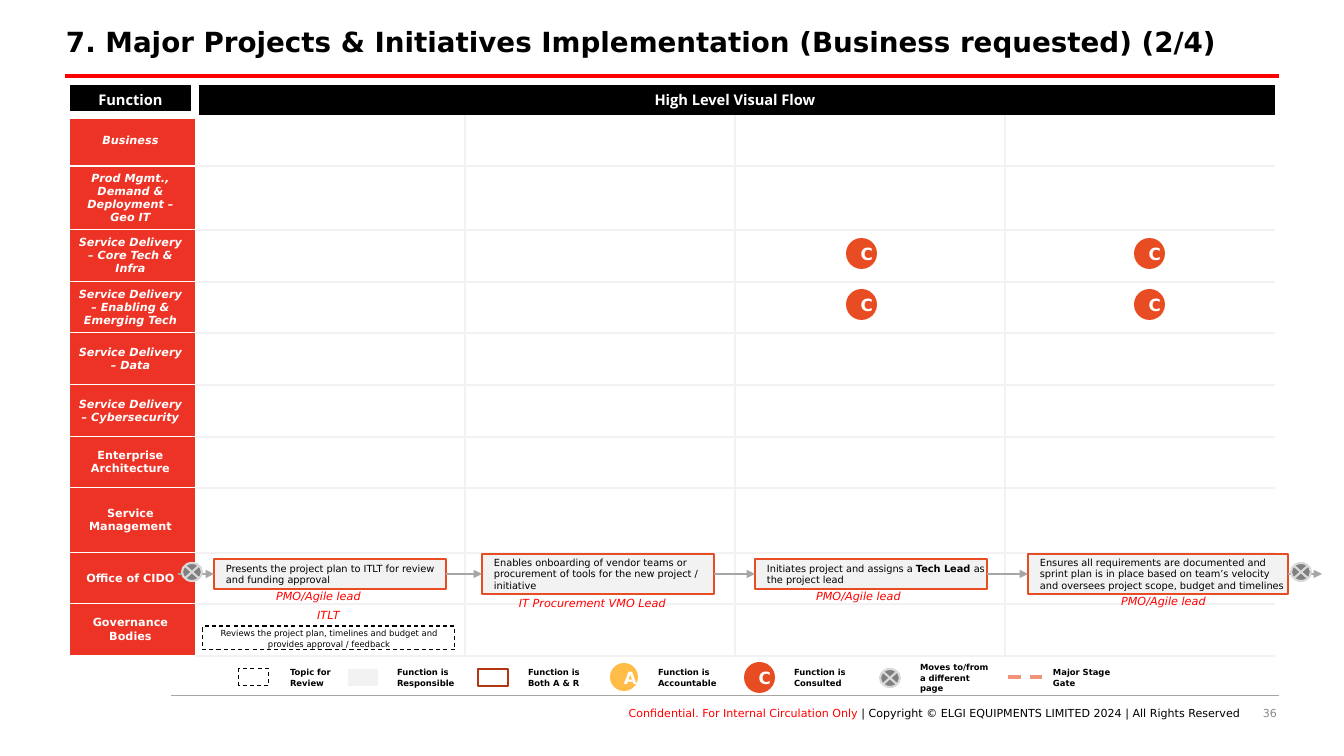
"""Build the swimlane slide for business requested projects."""
from lxml.etree import SubElement
from pptx import Presentation
from pptx.dml.color import RGBColor
from pptx.enum.dml import MSO_LINE
from pptx.enum.shapes import MSO_CONNECTOR, MSO_SHAPE
from pptx.enum.text import MSO_ANCHOR, PP_ALIGN
from pptx.oxml.ns import qn
from pptx.util import Emu, Pt

HUES = {
    "black": "000000", "white": "FFFFFF", "red": "FF0000", "lane": "ED3326",
    "pale": "F2F2F2", "orange": "E84C22", "rust": "B53513", "amber": "FFBD47",
    "gate": "F1947A", "mid": "808080", "ring": "D9D9D9", "wire": "A6A6A6",
    "page": "8C8C8C",
}
TITLE = "7. Major Projects & Initiatives Implementation (Business requested) (2/4)"
HEADS = ["Function", "High Level Visual Flow"]
LANES = [
    ("Business", 51, True),
    ("Prod Mgmt., Demand & Deployment – Geo IT", 63, True),
    ("Service Delivery – Core Tech & Infra", 52, True),
    ("Service Delivery – Enabling & Emerging Tech", 51, True),
    ("Service Delivery – Data", 52, True),
    ("Service Delivery – Cybersecurity", 52, True),
    ("Enterprise Architecture", 51, False),
    ("Service Management", 65, False),
    ("Office of CIDO", 51, False),
    ("Governance Bodies", 52, False),
]
STEPS = [
    ((214, 559, 232, 30),
     [("Presents the project plan to ITLT for review and funding approval", False)]),
    ((482, 554, 232, 40),
     [("Enables onboarding of vendor teams or procurement of tools for the "
       "new project / initiative", False)]),
    ((755, 559, 232, 30),
     [("Initiates project and assigns a ", False), ("Tech Lead ", True),
      ("as the project lead", False)]),
    ((1028, 554, 260, 40),
     [("Ensures all requirements are documented and sprint plan is in place based on "
       "team’s velocity and oversees project scope, budget and timelines", False)]),
]
ROLES = [
    ("PMO/Agile lead", (265, 584, 107, 24)),
    ("IT Procurement VMO Lead", (506, 591, 173, 24)),
    ("PMO/Agile lead", (805, 584, 107, 24)),
    ("PMO/Agile lead", (1110, 589, 107, 24)),
    ("ITLT", (306, 603, 45, 24)),
]
REVIEW = "Reviews the project plan, timelines and budget and provides approval / feedback"
LEGEND = [
    (280, ["Topic for", "Review"]),
    (387, ["Function is Responsible"]),
    (518, ["Function is Both A & R"]),
    (648, ["Function is Accountable"]),
    (784, ["Function is Consulted"]),
    (910, ["Moves to/from a different page"]),
    (1043, ["Major Stage Gate"]),
]
FOOTER = [
    ("Conﬁdential. For Internal Circulation Only ", "red"),
    ("| Copyright © ELGI EQUIPMENTS LIMITED 2024 | All Rights Reserved", "black"),
]
CENTER, LEFT, RIGHT = PP_ALIGN.CENTER, PP_ALIGN.LEFT, PP_ALIGN.RIGHT


def px(num):
    return Emu(round(num * 914400 / 100.8))


def hue(name):
    return RGBColor.from_string(HUES[name])


def write(frame, paras, size, align=LEFT, pad=(0, 0, 0, 0), mid=True, wrap=True,
          gap=None, face="DejaVu Sans", slant=False):
    frame.word_wrap = wrap
    frame.vertical_anchor = MSO_ANCHOR.MIDDLE if mid else MSO_ANCHOR.TOP
    (frame.margin_left, frame.margin_top,
     frame.margin_right, frame.margin_bottom) = map(px, pad)
    for num, runs in enumerate(paras):
        para = frame.add_paragraph() if num else frame.paragraphs[0]
        para.alignment = align
        if gap:
            para.line_spacing = gap
        for text, color, bold in runs:
            run = para.add_run()
            run.text = text
            font = run.font
            font.name, font.size, font.bold, font.italic = face, Pt(size), bold, slant
            font.color.rgb = hue(color)


def label(box, paras, size, **style):
    write(slide.shapes.add_textbox(*map(px, box)).text_frame, paras, size, **style)


def shape(kind, box, fill=None, edge=None, width=1.5, dash=False):
    item = slide.shapes.add_shape(kind, *map(px, box))
    item.shadow.inherit = False
    if fill:
        item.fill.solid()
        item.fill.fore_color.rgb = hue(fill)
    else:
        item.fill.background()
    if edge:
        item.line.color.rgb = hue(edge)
        item.line.width = Pt(width)
        if dash:
            item.line.dash_style = MSO_LINE.DASH
    else:
        item.line.fill.background()
    return item


def line(ends, color, width, arrow=False):
    wire = slide.shapes.add_connector(MSO_CONNECTOR.STRAIGHT, *map(px, ends))
    wire.line.color.rgb = hue(color)
    wire.line.width = Pt(width)
    if arrow:
        SubElement(wire.line._get_or_add_ln(), qn("a:tailEnd"), type="triangle")
    SubElement(wire._element.spPr, qn("a:effectLst"))
    return wire


def badge(letter, box, fill):
    item = shape(MSO_SHAPE.OVAL, box, fill)
    write(item.text_frame, [[(letter, "white", True)]], 12, CENTER, (10,) * 4, gap=1.06)


def jump(left, top):
    shape(MSO_SHAPE.FLOWCHART_SUMMING_JUNCTION, (left, top, 20, 18), "mid", "ring")


def edges(cell, **sides):
    props = cell._tc.get_or_add_tcPr()
    for side in "LRTB":
        if side in sides:
            color, width = sides[side]
            ln = SubElement(props, qn("a:ln" + side), w=str(Pt(width)))
            SubElement(SubElement(ln, qn("a:solidFill")), qn("a:srgbClr"), val=HUES[color])


def fill_cell(cell, text, fill, size, **style):
    cell.fill.solid()
    cell.fill.fore_color.rgb = hue(fill)
    write(cell.text_frame, [[(text, "white", True)]], size, CENTER, (10, 5, 10, 5), **style)
    cell.vertical_anchor = MSO_ANCHOR.MIDDLE


def lanes():
    rows = [31] + [high for _, high, _ in LANES]
    cols = [129] + [270] * 4
    frame = slide.shapes.add_table(len(rows), len(cols), px(66), px(84),
                                   px(sum(cols)), px(sum(rows)))
    grid = frame.table
    grid.first_row = grid.horz_banding = False
    frame._element.find(".//" + qn("a:tableStyleId")).text = (
        "{2D5ABB26-0587-4C30-8999-92F81FD0307C}")
    for row, high in zip(grid.rows, rows):
        row.height = px(high)
    for col, wide in zip(grid.columns, cols):
        col.width = px(wide)
    thick, thin, rule = ("white", 6), ("white", 1), ("pale", 1.5)
    grid.cell(0, 1).merge(grid.cell(0, 4))
    edges(grid.cell(0, 0), L=thick, R=thick, T=thin, B=thick)
    edges(grid.cell(0, 1), L=thick, T=thin)
    for num, text in enumerate(HEADS):
        fill_cell(grid.cell(0, num), text, "black", 10.5, face="Open Sans")
    for row, (name, _, slant) in enumerate(LANES, 1):
        head = grid.cell(row, 0)
        edges(head, L=thick, T=thin if row > 1 else thick, B=thin)
        fill_cell(head, name, "lane", 8, slant=slant)
        for col in range(1, 5):
            sides = {"B": rule}
            if row > 1:
                sides["T"] = rule
            if col > 1:
                sides["L"] = rule
            if col < 4:
                sides["R"] = rule
            cell = grid.cell(row, col)
            edges(cell, **sides)
            cell.fill.background()


def legend():
    shape(MSO_SHAPE.RECTANGLE, (239, 669, 30, 17), None, "black", 0.75, True)
    shape(MSO_SHAPE.RECTANGLE, (348, 669, 30, 17), "pale")
    shape(MSO_SHAPE.RECTANGLE, (478, 669, 30, 17), None, "rust")
    badge("A", (610, 663, 28, 28), "amber")
    badge("C", (744, 662, 31, 31), "orange")
    jump(880, 669)
    line((1008, 677, 1043, 677), "gate", 2.25).line.dash_style = MSO_LINE.DASH
    for left, paras in LEGEND:
        label((left, 661, 91, 33), [[(text, "black", True)] for text in paras], 6,
              pad=(10,) * 4, gap=1.06)


def flow():
    boxes = []
    for box, runs in STEPS:
        item = shape(MSO_SHAPE.RECTANGLE, box, "pale", "orange")
        write(item.text_frame, [[(text, "black", bold) for text, bold in runs]], 7,
              pad=(12, 0, 0, 0))
        boxes.append(item)
    for start, end in zip([None] + boxes, boxes + [None]):
        wire = line((178, 574, 1322, 574), "wire", 1, True)
        if start:
            wire.begin_connect(start, 3)
        if end:
            wire.end_connect(end, 1)
    jump(182, 563)
    jump(1291, 563)
    review = shape(MSO_SHAPE.RECTANGLE, (203, 626, 252, 24), "white", "black", 0.75, True)
    write(review.text_frame, [[(REVIEW, "black", False)]], 6, CENTER, (5, 0, 5, 0), gap=1.06)
    for text, box in ROLES:
        label(box, [[(text, "red", False)]], 8, align=CENTER, pad=(10, 5, 10, 5),
              mid=False, wrap=False, slant=True)
    for left in (846, 1134):
        for top in (238, 289):
            badge("C", (left, top, 31, 31), "orange")


deck = Presentation()
deck.slide_width, deck.slide_height = px(1344), px(756)
slide = deck.slides.add_slide(deck.slide_layouts[5])
title = slide.shapes.title
title.left, title.top, title.width, title.height = map(px, (66, 23, 1210, 41))
write(title.text_frame, [[(TITLE, "black", True)]], 19.8, pad=(0, 5, 10, 5), gap=0.9)
label((975, 706, 302, 20), [[("36", "page", False)]], 7.9, align=RIGHT, mid=False)
label((248, 706, 992, 20), [[(text, color, False) for text, color in FOOTER]], 7.9,
      align=RIGHT, mid=False)
line((171, 695, 1279, 695), "wire", 0.5)
line((65, 76, 1279, 76), "red", 2.25)
lanes()
legend()
flow()
deck.save("out.pptx")
